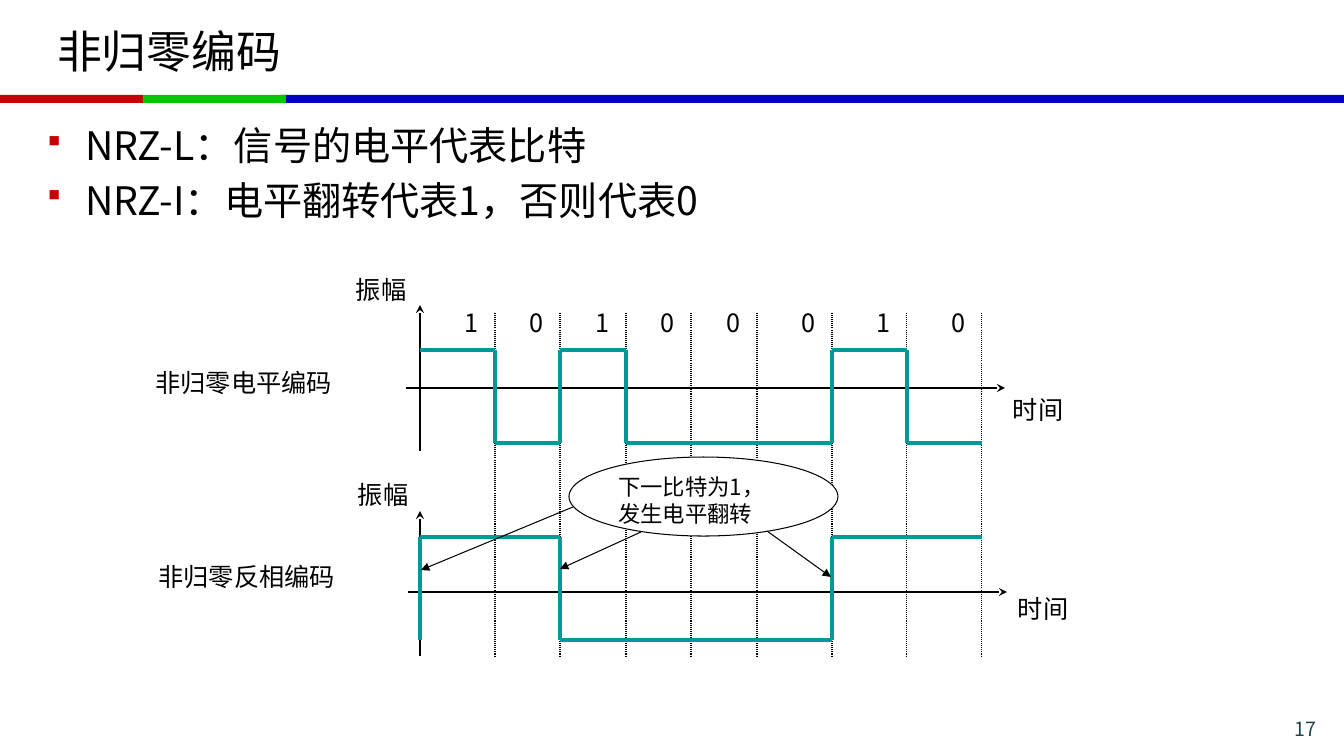
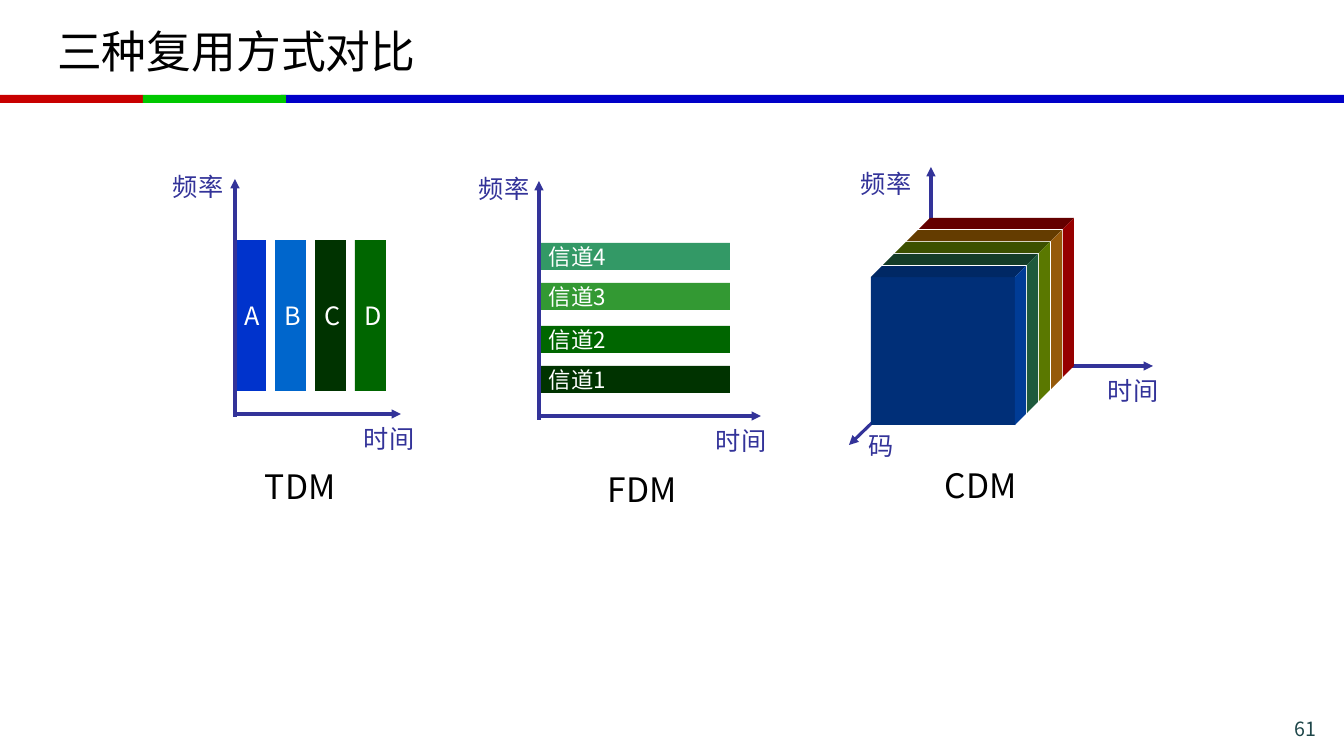
from itertools import accumulate, pairwise

from lxml.etree import SubElement
from pptx import Presentation
from pptx.dml.color import RGBColor
from pptx.enum.dml import MSO_LINE as Dash
from pptx.enum.shapes import MSO_CONNECTOR as Connector, MSO_SHAPE as Shape
from pptx.enum.text import MSO_ANCHOR as Anchor, MSO_AUTO_SIZE as AutoSize, PP_ALIGN as Align
from pptx.oxml.ns import qn
from pptx.util import Pt

PX = 914400 / 100.8
FONT = "Noto Sans CJK SC"
COLORS = {
    "text": "000000", "white": "FFFFFF", "number": "1E4649",
    "red": "C80000", "green": "00C800", "blue": "0000C8",
    "wave": "009999", "axis": "333399",
}


def px(value):
    return round(value * PX)


def rgb(color):
    return RGBColor.from_string(COLORS.get(color, color))


class Deck:
    bands = [(281, 1063, "blue"), (0, 143, "red"), (143, 143, "green")]

    def __init__(self):
        self.prs = Presentation()
        self.prs.slide_width, self.prs.slide_height = px(1344), px(756)
        self.slide = None

    def start(self, title, number, layout):
        self.slide = self.prs.slides.add_slide(self.prs.slide_layouts[layout])
        for left, width, color in self.bands:
            self.shape((left, 95, width, 8), color)
        heading = self.slide.shapes.title
        self.place(heading, (47, 8, 1249, 85))
        self.fill_text(heading, [title], 32, anchor=Anchor.MIDDLE)
        self.text((1195, 712, 131, 28), str(number), 14, "number", align=Align.RIGHT)

    def place(self, holder, box):
        holder.left, holder.top, holder.width, holder.height = map(px, box)

    def fill_text(self, holder, lines, size, color="text", align=Align.LEFT,
                  anchor=Anchor.TOP, wrap=True, inset=None, spacing=None):
        frame = holder.text_frame
        frame.auto_size = AutoSize.NONE
        frame.word_wrap = wrap
        frame.vertical_anchor = anchor
        if inset is not None:
            frame.margin_left = frame.margin_right = px(inset)
            frame.margin_top = frame.margin_bottom = px(inset)
        for index, line in enumerate(lines):
            paragraph = frame.add_paragraph() if index else frame.paragraphs[0]
            paragraph.alignment = align
            paragraph.line_spacing = spacing
            run = paragraph.add_run()
            run.text = line
            run.font.size = Pt(size)
            run.font.color.rgb = rgb(color)
            run.font.name = FONT
            SubElement(run.font._element, qn("a:ea"), typeface=FONT)

    def text(self, box, line, size, color="text", **style):
        holder = self.slide.shapes.add_textbox(*map(px, box))
        self.fill_text(holder, [line], size, color, **style)

    def bullets(self, box, lines, size):
        body = self.slide.placeholders[1]
        self.place(body, box)
        self.fill_text(body, lines, size)
        for index, paragraph in enumerate(body.text_frame.paragraphs):
            props = paragraph._p.get_or_add_pPr()
            props.set("marL", str(px(38)))
            props.set("indent", str(px(-38)))
            tint = SubElement(props, qn("a:buClr"))
            SubElement(tint, qn("a:srgbClr"), val=COLORS["red"])
            SubElement(props, qn("a:buSzPct"), val="80000")
            SubElement(props, qn("a:buFont"), typeface="Wingdings")
            SubElement(props, qn("a:buChar"), char="§")
            paragraph.space_before = Pt(5.6 if index else 0)

    def paint(self, shape, fill, line=None):
        shape.shadow.inherit = False
        shape.fill.solid()
        shape.fill.fore_color.rgb = rgb(fill)
        if line:
            shape.line.color.rgb = rgb(line)
            shape.line.width = Pt(0.75)
        else:
            shape.line.fill.background()

    def shape(self, box, fill, line=None, kind=Shape.RECTANGLE):
        shape = self.slide.shapes.add_shape(kind, *map(px, box))
        self.paint(shape, fill, line)
        return shape

    def polygon(self, points, fill):
        builder = self.slide.shapes.build_freeform(*points[0], scale=PX)
        builder.add_line_segments(points[1:], close=True)
        self.paint(builder.convert_to_shape(), fill)

    def line(self, start, end, color="text", width=1, head=None, dash=None):
        line = self.slide.shapes.add_connector(Connector.STRAIGHT, *map(px, start + end))
        line.line.color.rgb = rgb(color)
        line.line.width = Pt(width)
        if dash:
            line.line.dash_style = dash
        if head:
            SubElement(line.line._get_or_add_ln(), qn("a:tailEnd"), type=head)
        SubElement(line._element.spPr, qn("a:effectLst"))

    def box3d(self, left, top, width, height, depth, front, roof, side):
        right, bottom = left + width, top + height
        self.shape((left, top, width, height), front)
        self.polygon([(left, top), (left + depth, top - depth),
                      (right + depth, top - depth), (right, top)], roof)
        self.polygon([(right, top), (right + depth, top - depth),
                      (right + depth, bottom - depth), (right, bottom)], side)


def wave_corners(edges, levels, start, heights):
    points, level = [(edges[0], heights[start])], start
    for x, following in zip(edges, levels):
        if following != level:
            points += [(x, heights[level]), (x, heights[following])]
            level = following
    points.append((edges[-1], heights[level]))
    return list(dict.fromkeys(points))


def nrz_slide(deck):
    deck.start("非归零编码", 17, 1)
    deck.bullets((37, 116, 1270, 148),
                 ["NRZ-L：信号的电平代表比特", "NRZ-I：电平翻转代表1，否则代表0"], 28)

    bits = [1, 0, 1, 0, 0, 0, 1, 0]
    edges = [420, 495, 560, 626, 691, 757, 832, 907, 982]
    label = {"size": 18, "wrap": False, "inset": 0}
    for bit, edge in zip(bits, edges[1:]):
        deck.text((edge - 31, 307, 14, 30), str(bit), align=Align.CENTER, **label)
        deck.line((edge, 313), (edge, 656), width=0.75, dash=Dash.ROUND_DOT)

    inverted = list(accumulate(bits, lambda level, bit: level ^ bit))
    charts = [
        ("非归零电平编码", 332, 367, (356, 274), (1013, 394),
         406, 388, 451, 305, bits, 1, (443, 350)),
        ("非归零反相编码", 335, 561, (358, 479), (1018, 593),
         408, 592, 656, 511, inverted, 0, (640, 537)),
    ]
    for (name, right, name_top, amplitude, time, left, middle,
         bottom, top, levels, start, heights) in charts:
        deck.text((right - 280, name_top, 280, 30), name, 18, align=Align.RIGHT, inset=0)
        deck.text(amplitude + (50, 30), "振幅", **label)
        deck.text(time + (50, 30), "时间", **label)
        deck.line((left, middle), (left + 599, middle), head="stealth")
        deck.line((420, bottom), (420, top), head="stealth")
        for begin, end in pairwise(wave_corners(edges, levels, start, heights)):
            deck.line(begin, end, "wave", 2.5)

    callout = deck.shape((569, 457, 269, 79), "white", "text", Shape.OVAL)
    deck.fill_text(callout, ["下一比特为1，", "发生电平翻转"], 16)
    for begin, end in [((573, 507), (421, 570)), ((641, 532), (560, 569)),
                       ((767, 531), (831, 577))]:
        deck.line(begin, end, width=0.75, head="triangle")


def multiplexing_slide(deck):
    deck.start("三种复用方式对比", 61, 5)
    axis = {"color": "axis", "width": 2.25, "head": "triangle"}
    label = {"wrap": False, "spacing": 0.9}

    channels = [("信道4", 243, "339966"), ("信道3", 283, "339933"),
                ("信道2", 326, "006600"), ("信道1", 366, "003300")]
    for name, top, color in channels:
        band = deck.shape((539, top, 191, 27), color)
        deck.fill_text(band, [name], 16, "white", anchor=Anchor.MIDDLE, wrap=False)

    slots = [("A", "0033CC"), ("B", "0066CC"), ("C", "003300"), ("D", "006600")]
    for index, (name, color) in enumerate(slots):
        slot = deck.shape((235 + 40 * index, 240, 31, 151), color)
        deck.fill_text(slot, [name], 18, "white", anchor=Anchor.MIDDLE, wrap=False)

    plots = [
        ("TDM", (255, 466, 95, 46), (235, 414), 401, 417, 179, (163, 170), (354, 422)),
        ("FDM", (598, 468, 93, 46), (539, 416), 761, 420, 181, (469, 172), (706, 424)),
        ("CDM", (935, 465, 99, 46), (931, 366), 1153, 369, 167, (851, 167), (1098, 374)),
    ]
    for name, name_box, (x, y), right, bottom, top, frequency, time in plots:
        deck.line((x, y), (right, y), **axis)
        deck.line((x, bottom), (x, top), **axis)
        deck.text(frequency + (71, 37), "频率", 18, "axis", **label)
        deck.text(time + (71, 37), "时间", 18, "axis", **label)
        deck.text(name_box, name, 24, **label)
    deck.line((931, 366), (849, 445), **axis)
    deck.text((859, 429, 45, 37), "码", 18, "axis", **label)

    codes = [("white", "640000", "960000"), ("white", "643C00", "965A0A"),
             ("white", "3C5000", "5A7800"), ("white", "143C28", "1E5A3C"),
             ("002F78", "002864", "003C96")]
    for index, faces in enumerate(codes):
        deck.box3d(919 - 12 * index, 229 + 12 * index, 144, 148, 11, *faces)


def main():
    deck = Deck()
    nrz_slide(deck)
    multiplexing_slide(deck)
    deck.prs.save("out.pptx")


if __name__ == "__main__":
    main()
